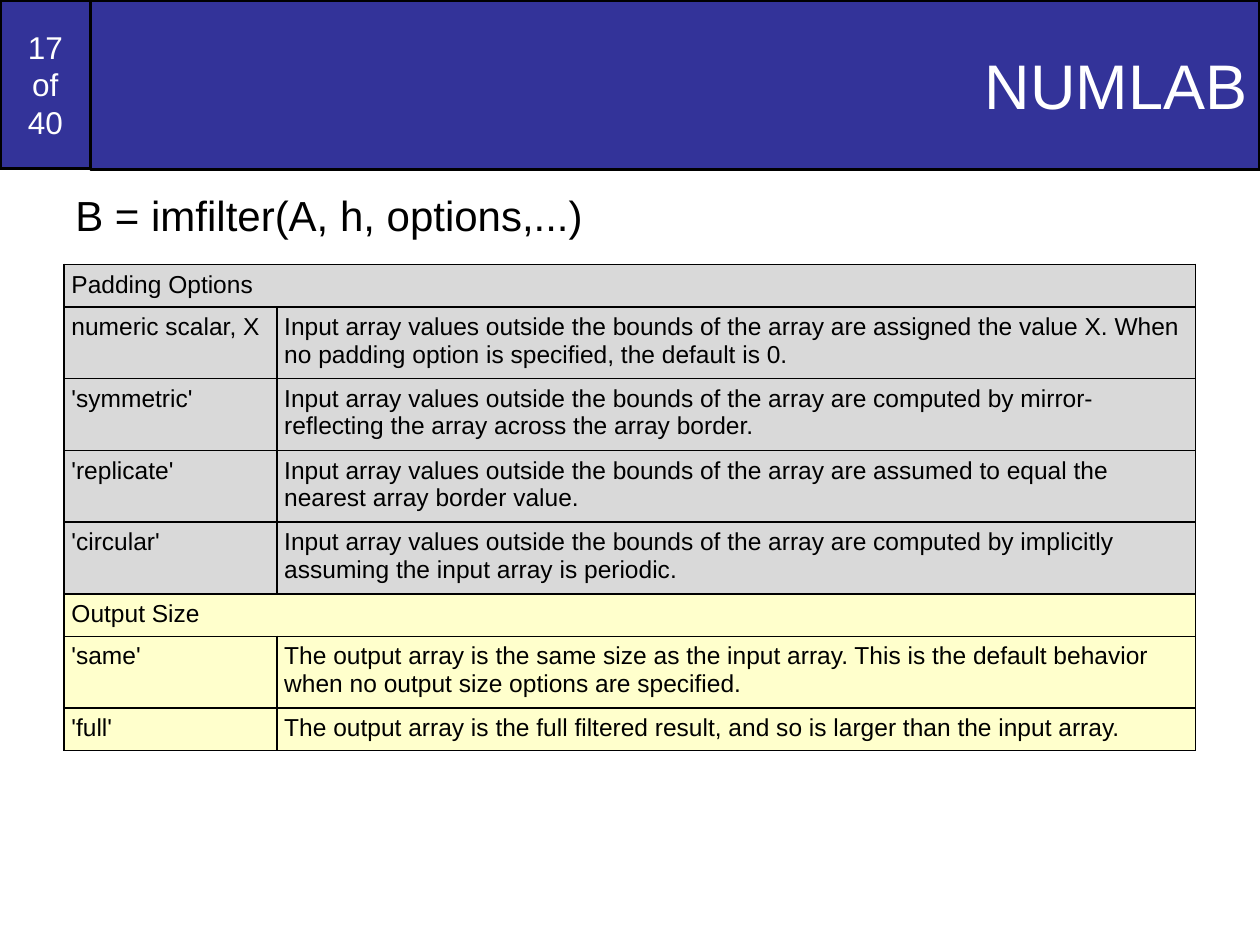
from dataclasses import dataclass

from lxml.etree import SubElement
from pptx import Presentation
from pptx.dml.color import RGBColor as Color
from pptx.enum.shapes import MSO_SHAPE as Shape
from pptx.enum.text import MSO_ANCHOR as Anchor, PP_ALIGN as Align
from pptx.oxml.ns import qn
from pptx.util import Cm, Pt


@dataclass(frozen=True)
class Theme:
    font: str = "Arial"
    banner: Color = Color(0x33, 0x33, 0x99)
    ink: Color = Color(0, 0, 0)
    paper: Color = Color(255, 255, 255)
    padding_fill: Color = Color(0xD9, 0xD9, 0xD9)
    output_fill: Color = Color(0xFF, 0xFF, 0xCC)
    title_size: float = 36
    syntax_size: float = 24
    counter_size: float = 18
    cell_size: float = 14
    banner_line: float = 2
    grid_line: float = 0.96


THEME = Theme()


@dataclass(frozen=True)
class Area:
    """A rectangle in centimetres."""
    left: float
    top: float
    width: float
    height: float

    def lengths(self) -> tuple:
        return tuple(Cm(v) for v in (self.left, self.top, self.width, self.height))


@dataclass(frozen=True)
class Banner:
    text: str
    area: Area
    size: float
    align: Align


@dataclass(frozen=True)
class Option:
    name: str
    meaning: str
    lines: int = 2


@dataclass(frozen=True)
class Section:
    heading: str
    fill: Color
    options: tuple


PAGE_WIDTH, PAGE_HEIGHT = 25.4, 19.05
COUNTER_WIDTH = 1.83
COLUMN_WIDTHS = (4.29, 18.52)
ROW_HEIGHTS = {1: 0.85, 2: 1.44}  # by number of text lines

BANNERS = (
    Banner("17\vof\v40", Area(0, 0, COUNTER_WIDTH, 3.4),
           THEME.counter_size, Align.CENTER),
    Banner("NUMLAB", Area(COUNTER_WIDTH, 0, PAGE_WIDTH - COUNTER_WIDTH, 3.42),
           THEME.title_size, Align.RIGHT),
)

SECTIONS = (
    Section("Padding Options", THEME.padding_fill, (
        Option("numeric scalar, X",
               "Input array values outside the bounds of the array are assigned the "
               "value X. When no padding option is specified, the default is 0."),
        Option("'symmetric'",
               "Input array values outside the bounds of the array are computed by "
               "mirror-reflecting the array across the array border."),
        Option("'replicate'",
               "Input array values outside the bounds of the array are assumed to "
               "equal the nearest array border value."),
        Option("'circular'",
               "Input array values outside the bounds of the array are computed by "
               "implicitly assuming the input array is periodic."),
    )),
    Section("Output Size", THEME.output_fill, (
        Option("'same'",
               "The output array is the same size as the input array. This is the "
               "default behavior when no output size options are specified."),
        Option("'full'",
               "The output array is the full filtered result, and so is larger than "
               "the input array.", 1),
    )),
)


def apply(target, values: dict) -> None:
    for name, value in values.items():
        setattr(target, name, value)


def write(frame, text: str, size: float, color: Color, **para_format) -> None:
    para = frame.paragraphs[0]
    para.text = text
    apply(para, para_format)
    for span in para.runs:
        apply(span.font, {"name": THEME.font, "size": Pt(size)})
        span.font.color.rgb = color


def draw_banner(page, banner: Banner) -> None:
    box = page.shapes.add_shape(Shape.RECTANGLE, *banner.area.lengths())
    box.shadow.inherit = False
    box.fill.solid()
    box.fill.fore_color.rgb = THEME.banner
    box.line.color.rgb = THEME.ink
    box.line.width = Pt(THEME.banner_line)
    apply(box.text_frame, {"word_wrap": True, "vertical_anchor": Anchor.MIDDLE})
    write(box.text_frame, banner.text, banner.size, THEME.paper,
          alignment=banner.align)


def draw_syntax(page, text: str, area: Area) -> None:
    box = page.shapes.add_textbox(*area.lengths())
    box.text_frame.word_wrap = True
    write(box.text_frame, text, THEME.syntax_size, THEME.ink)


def style_cell(cell, fill: Color) -> None:
    apply(cell, {"margin_left": Cm(0.15), "margin_right": Cm(0.15),
                 "margin_top": Cm(0.13), "margin_bottom": Cm(0.13)})
    # Borders come before the fill in the cell properties
    properties = cell._tc.get_or_add_tcPr()
    for side in ("lnL", "lnR", "lnT", "lnB"):
        line = SubElement(properties, qn(f"a:{side}"), w=str(Pt(THEME.grid_line)))
        solid = SubElement(line, qn("a:solidFill"))
        SubElement(solid, qn("a:srgbClr"), val=str(THEME.ink))
    cell.fill.solid()
    cell.fill.fore_color.rgb = fill


def draw_options(page, sections: tuple, left: float, top: float) -> None:
    # Each section is a heading row followed by its options
    rows = []
    for section in sections:
        rows.append(((section.heading,), 1, section.fill))
        rows += [((option.name, option.meaning), option.lines, section.fill)
                 for option in section.options]
    heights = [ROW_HEIGHTS[lines] for _, lines, _ in rows]
    area = Area(left, top, sum(COLUMN_WIDTHS), sum(heights))
    table = page.shapes.add_table(len(rows), len(COLUMN_WIDTHS), *area.lengths()).table
    apply(table, {"first_row": False, "horz_banding": False})
    for column, width in zip(table.columns, COLUMN_WIDTHS):
        column.width = Cm(width)
    for index, (texts, _, fill) in enumerate(rows):
        table.rows[index].height = Cm(heights[index])
        cells = list(table.rows[index].cells)
        for cell in cells:
            style_cell(cell, fill)
        for cell, text in zip(cells, texts):
            write(cell.text_frame, text, THEME.cell_size, THEME.ink)
        if len(texts) == 1:
            cells[0].merge(cells[-1])


def main() -> None:
    deck = Presentation()
    apply(deck, {"slide_width": Cm(PAGE_WIDTH), "slide_height": Cm(PAGE_HEIGHT)})
    page = deck.slides.add_slide(deck.slide_layouts[6])

    # Header with slide counter and title
    for banner in BANNERS:
        draw_banner(page, banner)

    # Function syntax and its options
    draw_syntax(page, "B = imfilter(A, h, options,...)", Area(1.27, 3.7, 22.86, 15.35))
    draw_options(page, SECTIONS, 1.29, 5.33)

    deck.save("out.pptx")


if __name__ == "__main__":
    main()
